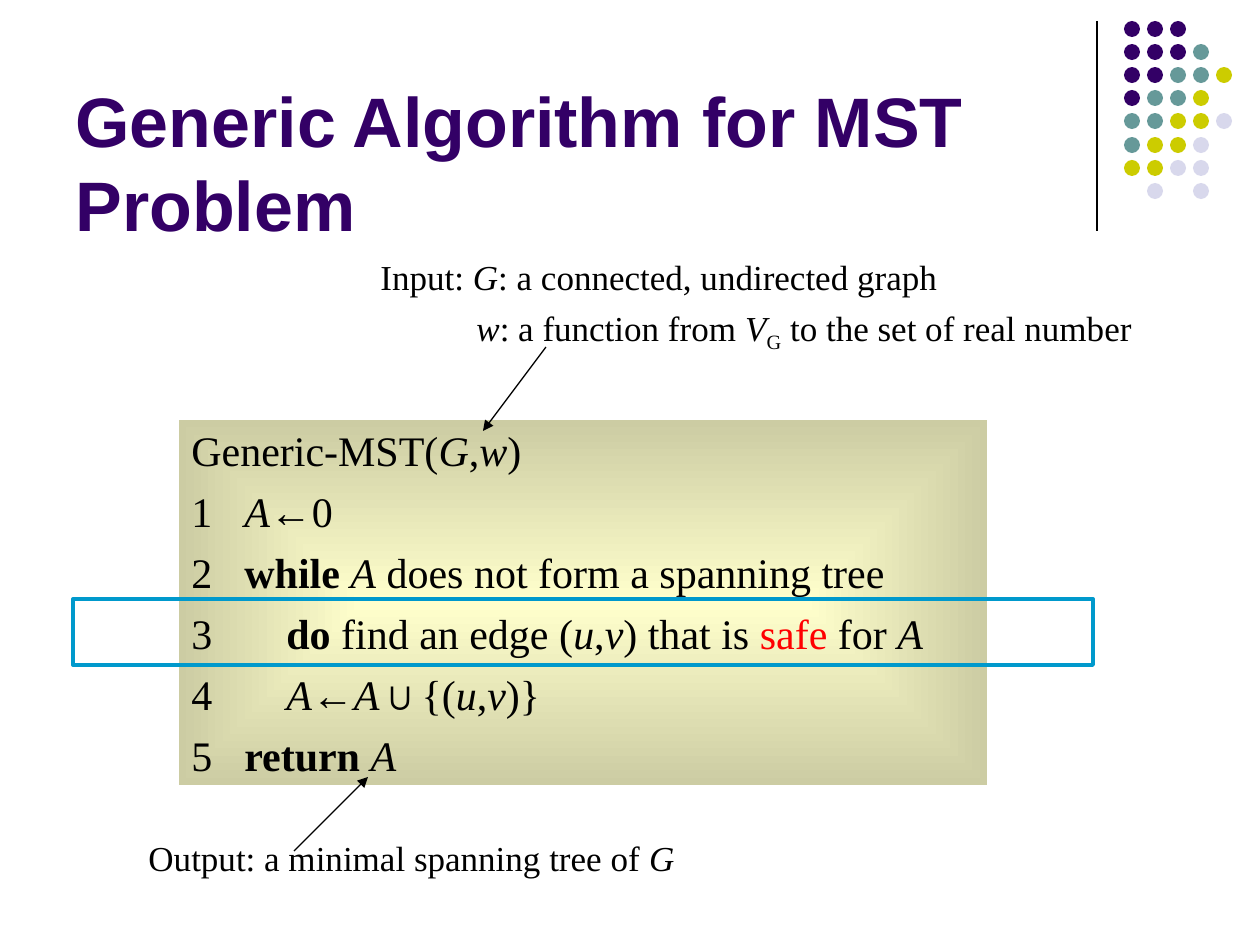
from dataclasses import dataclass

from lxml.etree import SubElement
from pptx import Presentation
from pptx.dml.color import RGBColor
from pptx.enum.shapes import MSO_CONNECTOR, MSO_SHAPE
from pptx.enum.text import MSO_ANCHOR, MSO_AUTO_SIZE, PP_ALIGN
from pptx.oxml.ns import qn
from pptx.util import Pt


@dataclass(frozen=True)
class Theme:
    heading: str = "Arial"
    body: str = "Times New Roman"
    title_size: int = 40
    code_size: int = 24
    note_size: int = 20
    purple: str = "330066"
    teal: str = "669999"
    olive: str = "CCCC00"
    lavender: str = "D8D8EC"
    black: str = "000000"
    red: str = "FF0000"
    blue: str = "0099CC"
    cream: str = "FFFFCC"
    khaki: str = "CCCCA3"


def px(n):
    return round(n * 914400 / 126)


def rgb(value):
    return RGBColor.from_string(value)


class Deck:
    def __init__(self, theme):
        self.theme = theme
        self.prs = Presentation()
        self.prs.slide_width, self.prs.slide_height = px(1260), px(945)
        self.s = self.prs.slides.add_slide(self.prs.slide_layouts[5])

    def font(self, r, name, size, color):
        r.font.name, r.font.size = name, Pt(size)
        r.font.color.rgb = rgb(color)

    def title(self, text, x, y, w, h):
        sp = self.s.shapes.title
        sp.left, sp.top, sp.width, sp.height = map(px, (x, y, w, h))
        tf = sp.text_frame
        tf.text = text
        tf.word_wrap = True
        tf.auto_size = MSO_AUTO_SIZE.NONE
        tf.vertical_anchor = MSO_ANCHOR.BOTTOM
        p = tf.paragraphs[0]
        p.alignment = PP_ALIGN.LEFT
        r = p.runs[0]
        self.font(r, self.theme.heading, self.theme.title_size, self.theme.purple)
        r.font.bold = True

    def shape(self, kind, x, y, w, h, fill=None, line=None, width=1):
        sp = self.s.shapes.add_shape(kind, *map(px, (x, y, w, h)))
        sp.shadow.inherit = False
        if fill:
            sp.fill.solid()
            sp.fill.fore_color.rgb = rgb(fill)
        else:
            sp.fill.background()
        if line:
            sp.line.color.rgb = rgb(line)
            sp.line.width = Pt(width)
        else:
            sp.line.fill.background()
        return sp

    def glow(self, sp, inner, outer):
        sp.fill.gradient()
        for stop, color in zip(sp.fill.gradient_stops, (inner, outer)):
            stop.color.rgb = rgb(color)
        grad = sp._element.spPr.find(qn("a:gradFill"))
        grad.remove(grad.find(qn("a:lin")))
        path = SubElement(grad, qn("a:path"), path="shape")
        SubElement(path, qn("a:fillToRect"), l="50000", t="50000", r="50000", b="50000")

    def rich(self, sp, lines, size, gap):
        tf = sp.text_frame
        tf.word_wrap = True
        tf.vertical_anchor = MSO_ANCHOR.MIDDLE
        for i, (margin, hanging, runs) in enumerate(lines):
            p = tf.paragraphs[0] if i == 0 else tf.add_paragraph()
            p.alignment = PP_ALIGN.LEFT
            p.space_before = Pt(gap if i else 0)
            pPr = p._p.get_or_add_pPr()
            pPr.set("marL", str(px(margin)))
            pPr.set("indent", str(px(-margin if hanging else 0)))
            for text, style in runs:
                r = p.add_run()
                r.text = text
                color = self.theme.red if style == "red" else self.theme.black
                self.font(r, self.theme.body, size, color)
                r.font.italic = style == "italic"
                r.font.bold = style == "bold"
                if style == "sub":
                    r._r.get_or_add_rPr().set("baseline", "-25000")

    def note(self, x, y, w, h, lines):
        sp = self.s.shapes.add_textbox(*map(px, (x, y, w, h)))
        self.rich(sp, lines, self.theme.note_size, 5)

    def line(self, x1, y1, x2, y2, arrow=False):
        c = self.s.shapes.add_connector(MSO_CONNECTOR.STRAIGHT, *map(px, (x1, y1, x2, y2)))
        c.line.color.rgb = rgb(self.theme.black)
        c.line.width = Pt(0.75)
        if arrow:
            SubElement(c.line._get_or_add_ln(), qn("a:tailEnd"), type="triangle")
        SubElement(c._element.spPr, qn("a:effectLst"))

    def dots(self, rows, x, y, size, pitch):
        t = self.theme
        colors = {"P": t.purple, "T": t.teal, "O": t.olive, "L": t.lavender}
        for i, row in enumerate(rows):
            for j, key in enumerate(row):
                if key in colors:
                    self.shape(MSO_SHAPE.OVAL, x + round(j * pitch), y + round(i * pitch),
                               size, size, colors[key])


def plain(text):
    return text, "plain"


def it(text):
    return text, "italic"


def bold(text):
    return text, "bold"


theme = Theme()
deck = Deck(theme)
deck.line(1097, 21, 1097, 231)
deck.dots(["PPP", "PPPT", "PPTTO", "PTTO", "TTOOL", "TOOL", "OOLL", ".L.L"],
          1124, 21, 16, 23.1)
deck.title("Generic Algorithm for MST Problem", 63, 78, 1134, 174)

OUTER, INNER = 53, 95
edge = [it("u"), plain(","), it("v")]
code = [
    (0, False, [plain("Generic-MST("), it("G"), plain(","), it("w"), plain(")")]),
    (OUTER, True, [plain("1\t"), it("A"), plain("←0")]),
    (OUTER, True, [plain("2\t"), bold("while "), it("A"),
                   plain(" does not form a spanning tree")]),
    (INNER, True, [plain("3\t"), bold("do"), plain(" find an edge ("), *edge,
                   plain(") that is "), ("safe", "red"), plain(" for "), it("A")]),
    (INNER, True, [plain("4\t"), it("A"), plain("←"), it("A"), plain("∪{("), *edge,
                   plain(")}")]),
    (OUTER, True, [plain("5\t"), bold("return "), it("A")]),
]
listing = deck.shape(MSO_SHAPE.RECTANGLE, 179, 420, 808, 365, theme.cream)
deck.glow(listing, theme.cream, theme.khaki)
deck.rich(listing, code, theme.code_size, 6)

deck.note(368, 252, 798, 105, [
    (0, False, [plain("Input: "), it("G"), plain(": a connected, undirected graph")]),
    (96, False, [it("w"), plain(": a function from "), it("V"), ("G", "sub"),
                 plain(" to the set of real number")]),
])
deck.line(546, 347, 483, 431, arrow=True)
deck.note(136, 830, 798, 54, [
    (0, False, [plain("Output: a minimal spanning tree of "), it("G")]),
])
deck.line(294, 851, 368, 777, arrow=True)
deck.shape(MSO_SHAPE.RECTANGLE, 73, 599, 1020, 66, line=theme.blue, width=2.25)

deck.prs.save("out.pptx")
